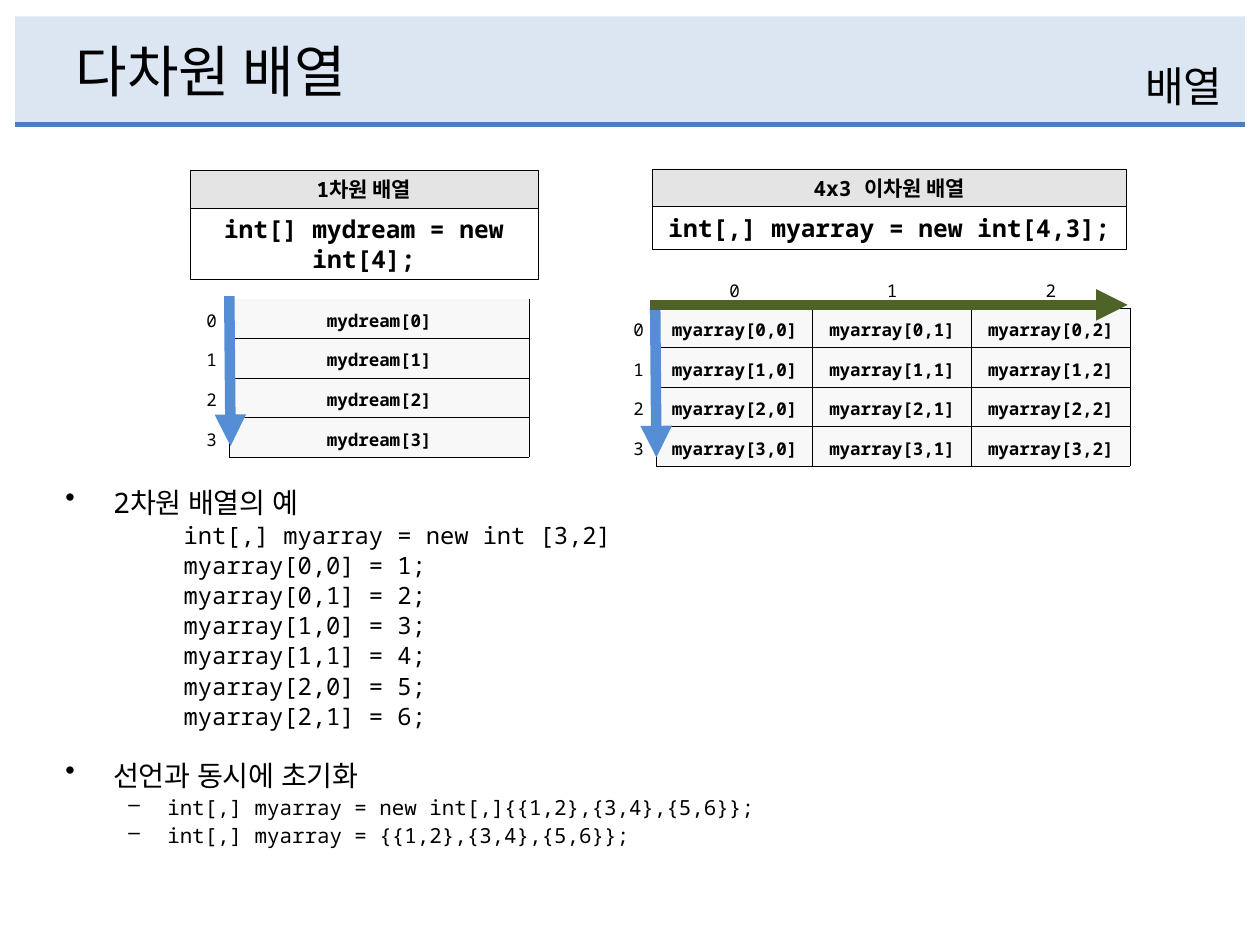
from lxml import etree
from pptx import Presentation
from pptx.dml.color import RGBColor
from pptx.enum.shapes import MSO_CONNECTOR, MSO_SHAPE
from pptx.enum.text import MSO_ANCHOR, PP_ALIGN
from pptx.oxml.ns import qn
from pptx.util import Inches, Pt

LEFT, CENTER, RIGHT = PP_ALIGN.LEFT, PP_ALIGN.CENTER, PP_ALIGN.RIGHT
TOP, MIDDLE = MSO_ANCHOR.TOP, MSO_ANCHOR.MIDDLE
RECT, STRAIGHT = MSO_SHAPE.RECTANGLE, MSO_CONNECTOR.STRAIGHT
SANS, MONO = "Noto Sans CJK KR", "Noto Sans Mono"
COLORS = {"text": "000000", "band": "DCE6F2", "rule": "4B7EBC", "header": "E4E4E4",
          "cell": "F8F8F8", "row_arrow": "558ED5", "column_arrow": "4F6228"}

TITLE, SECTION = "다차원 배열", "배열"
DECLARATIONS = [
    ("1차원 배열", "int[] mydream = new int[4];", 1.51, 1.35, 2.76, 0.57),
    ("4x3 이차원 배열", "int[,] myarray = new int[4,3];", 5.18, 1.34, 3.76, 0.34),
]
HEADER_HEIGHT = 0.3
ROW_HEIGHT = 1.57 / 5
LINE_CELLS = [["", ""]] + [[str(i), f"mydream[{i}]"] for i in range(4)]
GRID_CELLS = [["", "0", "1", "2"]] + [
    [str(i)] + [f"myarray[{i},{j}]" for j in range(3)] for i in range(4)]
TABLES = [
    (LINE_CELLS, 1.01, 1.97, [0.81, 2.38], 0.4, False),
    (GRID_CELLS, 4.5, 2.13, [0.71, 1.24, 1.26, 1.26], ROW_HEIGHT, True),
]
ARROWS = [
    (1.82, 2.35, 1.83, 3.54, "row_arrow"),
    (5.2, 2.44, 5.21, 3.63, "row_arrow"),
    (5.16, 2.42, 8.95, 2.42, "column_arrow"),
]
EXAMPLES = [
    ("heading", "2차원 배열의 예"),
    ("code", "int[,] myarray = new int [3,2]"),
    ("code", "myarray[0,0] = 1;"),
    ("code", "myarray[0,1] = 2;"),
    ("code", "myarray[1,0] = 3;"),
    ("code", "myarray[1,1] = 4;"),
    ("code", "myarray[2,0] = 5;"),
    ("code", "myarray[2,1] = 6;"),
    ("heading", "선언과 동시에 초기화"),
    ("item", "int[,] myarray = new int[,]{{1,2},{3,4},{5,6}};"),
    ("item", "int[,] myarray = {{1,2},{3,4},{5,6}};"),
]
STYLES = {
    "heading": (0, 0.38, -0.38, "•", 16.1, 18),
    "code": (2, 0.94, 0, None, 13.6, 1.4),
    "item": (1, 0.81, -0.31, "–", 11.9, 1.4),
}
SIDES = [("a:lnL", 0, -1), ("a:lnR", 0, 1), ("a:lnT", -1, 0), ("a:lnB", 1, 0)]


def rgb(name):
    return RGBColor.from_string(COLORS[name])


def inches(*values):
    return [Inches(v) for v in values]


def style(p, size, font=MONO, bold=False, align=LEFT):
    p.alignment = align
    p.font.size, p.font.bold, p.font.name = Pt(size), bold, font
    p.font.color.rgb = rgb("text")
    props = p._p.pPr.find(qn("a:defRPr"))
    etree.SubElement(props, qn("a:ea")).set("typeface", SANS)


def add_box(shapes, at, fill=None, line=None):
    sp = shapes.add_shape(RECT, *inches(*at))
    sp.shadow.inherit = False
    if fill:
        sp.fill.solid()
        sp.fill.fore_color.rgb = rgb(fill)
    else:
        sp.fill.background()
    if line:
        sp.line.color.rgb = rgb(line)
        sp.line.width = Pt(0.25)
    else:
        sp.line.fill.background()
    return sp


def add_label(shapes, at, text, size, fill=None):
    tf = add_box(shapes, at, fill, "text").text_frame
    tf.word_wrap = True
    tf.vertical_anchor = MIDDLE
    p = tf.paragraphs[0]
    p.text = text
    style(p, size, bold=True, align=CENTER)


def add_line(shapes, x1, y1, x2, y2, color, width, arrow=False):
    line = shapes.add_connector(STRAIGHT, *inches(x1, y1, x2, y2))
    line.line.color.rgb = rgb(color)
    line.line.width = Pt(width)
    if arrow:
        ln = line.line._get_or_add_ln()
        etree.SubElement(ln, qn("a:tailEnd")).set("type", "triangle")
    etree.SubElement(line._element.spPr, qn("a:effectLst"))
    return line


def set_borders(cell, visible):
    props = cell._tc.get_or_add_tcPr()
    for tag, drawn in visible.items():
        ln = etree.SubElement(props, qn(tag), w=str(Pt(0.25)))
        if drawn:
            fill = etree.SubElement(ln, qn("a:solidFill"))
            etree.SubElement(fill, qn("a:srgbClr")).set("val", COLORS["text"])
        else:
            etree.SubElement(ln, qn("a:noFill"))


def add_array(shapes, rows, left, top, widths, first_height, top_edge):
    heights = [first_height] + [ROW_HEIGHT] * (len(rows) - 1)
    frame = shapes.add_table(len(rows), len(widths),
                             *inches(left, top, sum(widths), sum(heights)))
    table = frame.table
    table.first_row = table.horz_banding = False
    for column, width in zip(table.columns, widths):
        column.width = Inches(width)
    for row, height in zip(table.rows, heights):
        row.height = Inches(height)

    def is_element(r, c):
        return 0 < r < len(rows) and 0 < c < len(widths)

    def has_edge(r, c, dr, dc):
        if not top_edge and {r, r + dr} == {0, 1}:
            return False
        return is_element(r, c) or is_element(r + dr, c + dc)

    for r, texts in enumerate(rows):
        for c, text in enumerate(texts):
            cell = table.cell(r, c)
            set_borders(cell, {tag: has_edge(r, c, dr, dc) for tag, dr, dc in SIDES})
            cell.margin_top, cell.margin_bottom = inches(0.08, 0.04)
            cell.vertical_anchor = TOP if r else MIDDLE
            p = cell.text_frame.paragraphs[0]
            if text:
                p.text = text
                style(p, 10, bold=is_element(r, c), align=CENTER if c else RIGHT)
            else:
                p._p.get_or_add_endParaRPr().set("sz", "1000")
            if is_element(r, c):
                cell.fill.solid()
                cell.fill.fore_color.rgb = rgb("cell")
            else:
                cell.fill.background()


def add_text(shapes, at):
    tf = shapes.add_textbox(*inches(*at)).text_frame
    tf.word_wrap = True
    return tf


def add_examples(shapes):
    tf = add_text(shapes, (0.42, 3.9, 9.16, 3.4))
    for i, (kind, text) in enumerate(EXAMPLES):
        level, margin, indent, bullet, size, before = STYLES[kind]
        p = tf.add_paragraph() if i else tf.paragraphs[0]
        p.text = text
        p.level = level
        props = p._p.get_or_add_pPr()
        props.set("marL", str(Inches(margin)))
        props.set("indent", str(Inches(indent)))
        if bullet:
            etree.SubElement(props, qn("a:buChar")).set("char", bullet)
        p.line_spacing = 0.6
        p.space_before = Pt(before if i else 0)
        p.space_after = Pt(6)
        style(p, size)


def main():
    prs = Presentation()
    prs.slide_width, prs.slide_height = inches(10, 7.5)
    slide = prs.slides.add_slide(prs.slide_layouts[5])
    shapes = slide.shapes

    band = add_box(shapes, (0.12, 0.13, 9.76, 0.87), "band")
    rule = add_line(shapes, 0.12, 0.99, 9.88, 0.99, "rule", 3)
    for position, sp in enumerate((band, rule), 2):
        shapes._spTree.insert(position, sp._element)

    title = shapes.title
    title.left, title.top, title.width, title.height = inches(0.5, 0.13, 6.94, 0.85)
    title.text_frame.vertical_anchor = MIDDLE
    p = title.text_frame.paragraphs[0]
    p.text = TITLE
    style(p, 32, SANS)

    p = add_text(shapes, (6.02, 0.43, 3.78, 0.55)).paragraphs[0]
    p.text = SECTION
    style(p, 24, SANS, align=RIGHT)

    add_examples(shapes)
    for table in TABLES:
        add_array(shapes, *table)
    for *ends, color in ARROWS:
        add_line(shapes, *ends, color, 6, arrow=True)
    for name, code, left, top, width, height in DECLARATIONS:
        add_label(shapes, (left, top + HEADER_HEIGHT, width, height), code, 14)
        add_label(shapes, (left, top, width, HEADER_HEIGHT), name, 12, "header")
    prs.save("out.pptx")


if __name__ == "__main__":
    main()
